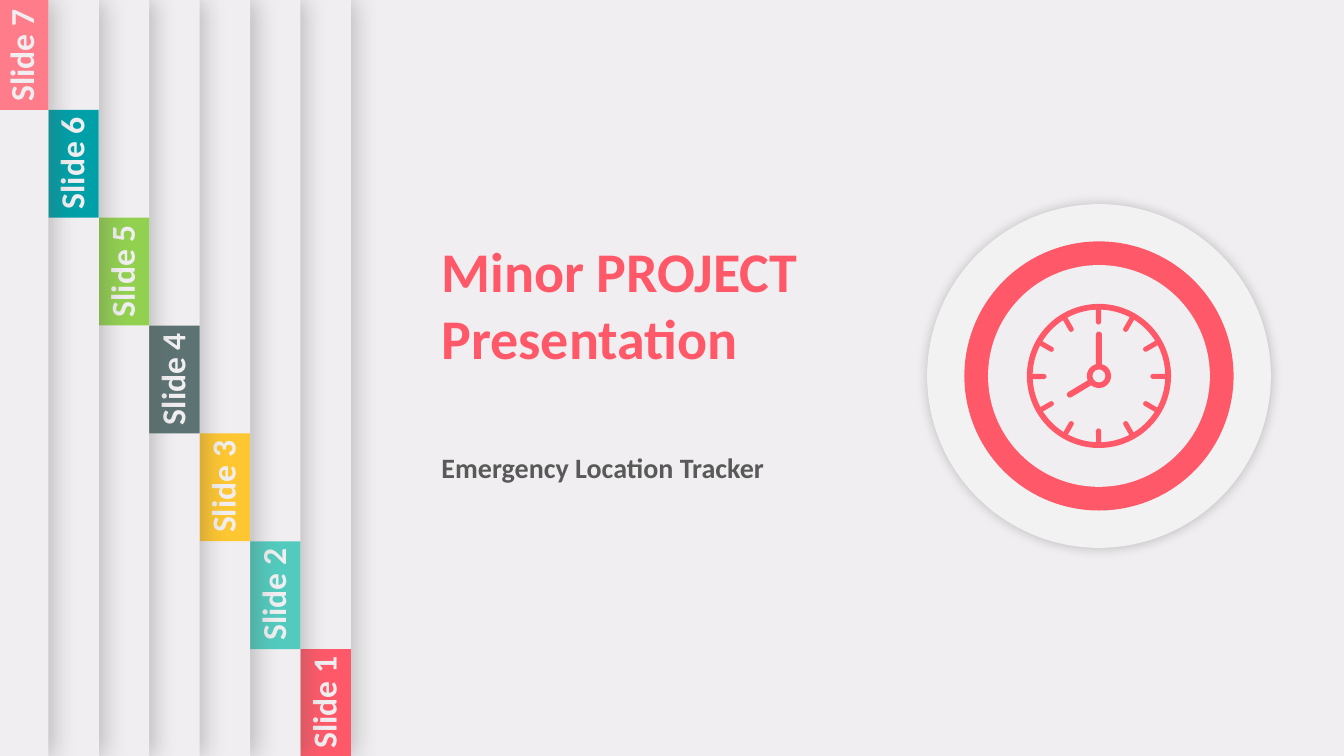
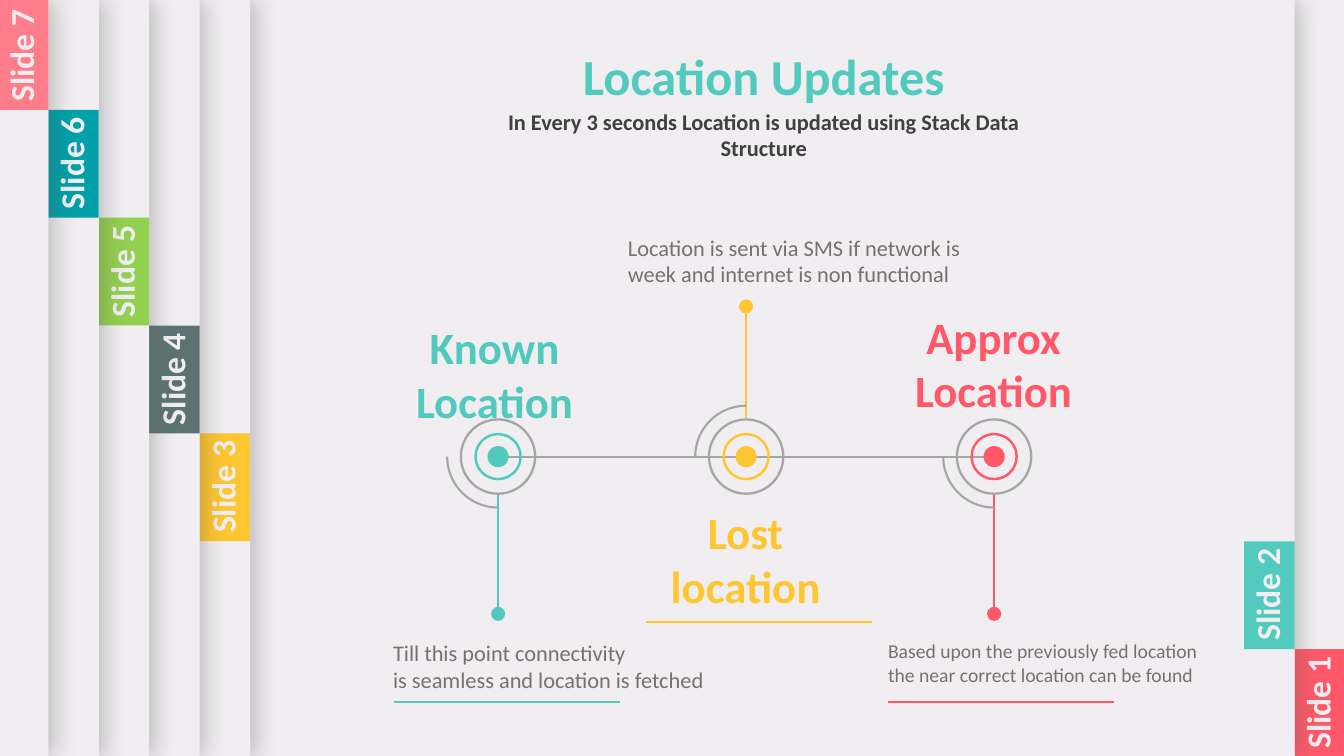
"""Build a cover and a location timeline framed by sliding page tabs."""
from math import cos, radians, sin

from lxml.etree import SubElement
from pptx import Presentation
from pptx.dml.color import RGBColor
from pptx.enum.shapes import MSO_CONNECTOR, MSO_SHAPE
from pptx.enum.text import PP_ALIGN
from pptx.oxml.ns import qn
from pptx.util import Inches, Pt

ARC, DONUT, OVAL = MSO_SHAPE.ARC, MSO_SHAPE.DONUT, MSO_SHAPE.OVAL
RECTANGLE, ROUNDED = MSO_SHAPE.RECTANGLE, MSO_SHAPE.ROUNDED_RECTANGLE
HAND = MSO_SHAPE.ROUND_2_SAME_RECTANGLE
STRAIGHT = MSO_CONNECTOR.STRAIGHT
LEFT, CENTER = PP_ALIGN.LEFT, PP_ALIGN.CENTER

THEME = {
    "font": "Calibri",
    "paper": "F0EEF0", "plate": "F2F2F2", "grey": "A6A6A6",
    "caption": "767171", "subtitle": "595959", "subheading": "404040",
    "red": "FF5969", "teal": "52C9BD", "heading": "52CBBE", "yellow": "FEC630",
    "tabs": ("FF5969", "52CBBE", "FEC630", "5D7373", "92D050", "00A0A8", "FF7D8B"),
    "panel_shadow": ("595959", 35, 17, 3), "plate_shadow": ("000000", 20, 8, 0),
    "cover_size": 40, "heading_size": 36, "label_size": 32, "tab_size": 24,
    "subtitle_size": 20, "body_size": 16, "small_size": 14, "line_width": 1.5,
}


def add_shape(slide, kind, box, fill=None, line=None, adjust=(), rotation=0, shadow=None):
    shape = slide.shapes.add_shape(kind, *map(Inches, box))
    shape.rotation = rotation
    for index, value in enumerate(adjust):
        shape.adjustments[index] = value
    if fill:
        shape.fill.solid()
        shape.fill.fore_color.rgb = RGBColor.from_string(fill)
    else:
        shape.fill.background()
    if line:
        shape.line.color.rgb = RGBColor.from_string(line)
        shape.line.width = Pt(THEME["line_width"])
    else:
        shape.line.fill.background()
    shape.shadow.inherit = False
    if shadow:
        color, opacity, blur, distance = shadow
        effects = shape._element.spPr.find(qn("a:effectLst"))
        outer = SubElement(effects, qn("a:outerShdw"), blurRad=str(Pt(blur)),
                           dist=str(Pt(distance)), dir="0", algn="ctr", rotWithShape="0")
        tint = SubElement(outer, qn("a:srgbClr"), val=color)
        SubElement(tint, qn("a:alpha"), val=str(opacity * 1000))


def add_text(slide, box, text, size, color, bold=True, align=CENTER, rotation=0):
    shape = slide.shapes.add_textbox(*map(Inches, box))
    shape.rotation = rotation
    shape.text_frame.word_wrap = True
    shape.text_frame.text = text
    for paragraph in shape.text_frame.paragraphs:
        paragraph.alignment = align
        paragraph.font.name = THEME["font"]
        paragraph.font.size = Pt(THEME[size])
        paragraph.font.bold = bold
        paragraph.font.color.rgb = RGBColor.from_string(THEME[color])


presentation = Presentation()
presentation.slide_width, presentation.slide_height = Inches(13.33), Inches(7.5)
blank = presentation.slide_layouts[6]
cover = presentation.slides.add_slide(blank)
updates = presentation.slides.add_slide(blank)

TAB_WIDTH, TAB_HEIGHT, PANEL_WIDTH, OPENED_SHIFT = 0.5, 1.07, 13.65, 9.86
for slide, opened in ((cover, 0), (updates, 2)):
    slide.background.fill.solid()
    slide.background.fill.fore_color.rgb = RGBColor.from_string(THEME["paper"])
    for index, color in enumerate(THEME["tabs"]):
        left = 2.98 - TAB_WIDTH * index + (OPENED_SHIFT if index < opened else 0)
        top = 6.44 - TAB_HEIGHT * index
        right = left + TAB_WIDTH
        add_shape(slide, RECTANGLE, (right - PANEL_WIDTH, 0, PANEL_WIDTH, 7.5),
                  THEME["paper"], shadow=THEME["panel_shadow"])
        tab_top = top if index < 6 else 0
        add_shape(slide, RECTANGLE, (left, tab_top, TAB_WIDTH, top + TAB_HEIGHT - tab_top), color)
        add_text(slide, (left - 0.37, top + 0.28, 1.19, 0.5), f"Slide {index + 1}",
                 "tab_size", "paper", rotation=270)

add_text(cover, (4.28, 2.3, 4.82, 1.45), "Minor PROJECT\nPresentation",
         "cover_size", "red", align=LEFT)
add_text(cover, (4.28, 4.42, 4.82, 0.44), "Emergency Location Tracker",
         "subtitle_size", "subtitle", align=LEFT)

CLOCK_X, CLOCK_Y = 10.9, 3.73
for kind, diameter, color, adjust, shadow in (
    (OVAL, 3.41, "plate", (), THEME["plate_shadow"]),
    (OVAL, 2.67, "red", (), None),
    (OVAL, 2.2, "paper", (), None),
    (DONUT, 1.43, "red", (0.04,), None),
    (DONUT, 0.24, "red", (0.23,), None),
):
    add_shape(cover, kind, (CLOCK_X - diameter / 2, CLOCK_Y - diameter / 2, diameter, diameter),
              THEME[color], adjust=adjust, shadow=shadow)
for angle in range(0, 360, 30):
    tick_x = CLOCK_X + 0.6 * sin(radians(angle))
    tick_y = CLOCK_Y - 0.6 * cos(radians(angle))
    add_shape(cover, ROUNDED, (tick_x - 0.03, tick_y - 0.08, 0.05, 0.17),
              THEME["red"], adjust=(0.5,), rotation=angle)
for box, angle in (((10.68, 3.71, 0.06, 0.29), 239), ((10.87, 3.29, 0.06, 0.34), 0)):
    add_shape(cover, HAND, box, THEME["red"], adjust=(0.5, 0), rotation=angle)

add_text(updates, (4.93, 0.4, 5.29, 0.71), "Location Updates", "heading_size", "heading")
add_text(updates, (4.57, 1.02, 6.01, 0.64),
         "In Every 3 seconds Location is updated using Stack Data Structure",
         "body_size", "subheading")

AXIS_Y, FIRST_X, STEP, RING_RADIUS, RULE_LENGTH = 4.53, 4.94, 2.46, 0.38, 2.24
STAGES = (
    ("teal", 6.09, 0, (3.91, 6.96), "Known Location", (3.75, 3.12, 2.31, 1.18),
     "Till this point connectivity\nis seamless and location is fetched",
     (3.8, 6.29, 3.5, 0.64), "body_size"),
    ("yellow", 3.04, 90, (6.41, 6.17), "Lost location", (6.25, 4.96, 2.29, 1.18),
     "Location is sent via SMS if network is week and internet is non functional",
     (6.13, 2.27, 3.5, 0.64), "body_size"),
    ("red", 6.09, 0, (8.81, 6.96), "Approx Location", (8.74, 3.02, 2.23, 1.18),
     "Based upon the previously fed location\nthe near correct location can be found",
     (8.71, 6.29, 3.5, 0.57), "small_size"),
)
lines = [("grey", FIRST_X, AXIS_Y, FIRST_X + 2 * STEP, AXIS_Y)]
for index, (color, tip_y, _, (rule_x, rule_y), *_) in enumerate(STAGES):
    x = FIRST_X + STEP * index
    ring_edge = AXIS_Y + (RING_RADIUS if tip_y > AXIS_Y else -RING_RADIUS)
    lines += [(color, x, tip_y, x, ring_edge),
              (color, rule_x, rule_y, rule_x + RULE_LENGTH, rule_y)]
for color, *ends in lines:
    connector = updates.shapes.add_connector(STRAIGHT, *map(Inches, ends))
    connector.line.color.rgb = RGBColor.from_string(THEME[color])
    connector.line.width = Pt(THEME["line_width"])
    SubElement(connector._element.spPr, qn("a:effectLst"))

for index, (color, tip_y, turn, _, label, label_box, caption, caption_box, size) in enumerate(STAGES):
    x = FIRST_X + STEP * index
    for kind, diameter, y, fill, line, adjust in (
        (ARC, 1.01, AXIS_Y, None, THEME["grey"], (54, 108)),
        (OVAL, 0.21, AXIS_Y, THEME[color], None, ()),
        (DONUT, 0.47, AXIS_Y, THEME[color], None, (0.05,)),
        (DONUT, 2 * RING_RADIUS, AXIS_Y, THEME["grey"], None, (0.03,)),
        (OVAL, 0.14, tip_y, THEME[color], None, ()),
    ):
        add_shape(updates, kind, (x - diameter / 2, y - diameter / 2, diameter, diameter),
                  fill, line, adjust, turn)
    add_text(updates, label_box, label, "label_size", color)
    add_text(updates, caption_box, caption, size, "caption", bold=False, align=LEFT)

presentation.save("out.pptx")
